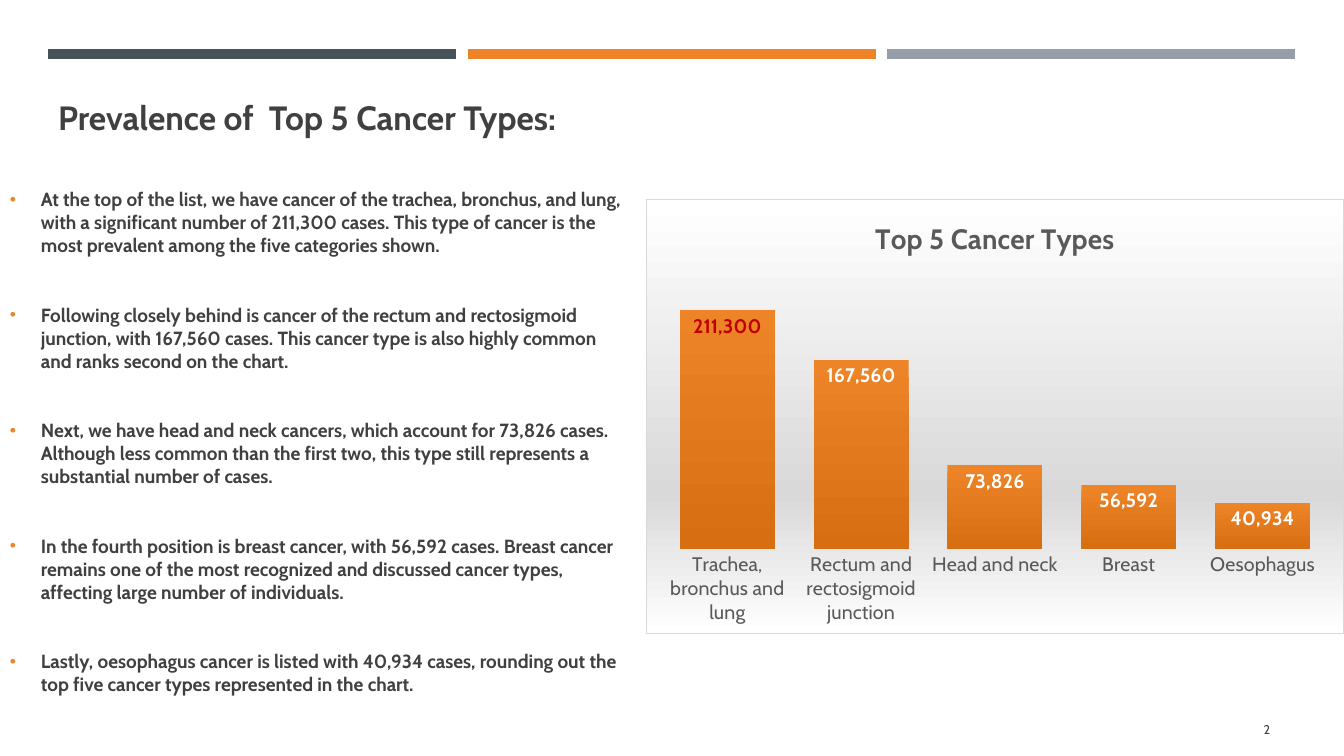
from pptx import Presentation
from pptx.chart.data import CategoryChartData
from pptx.dml.color import RGBColor
from pptx.enum.chart import XL_CHART_TYPE, XL_LABEL_POSITION, XL_TICK_MARK
from pptx.enum.shapes import MSO_CONNECTOR
from pptx.enum.text import MSO_ANCHOR, PP_ALIGN
from pptx.oxml import parse_xml
from pptx.oxml.ns import nsdecls, qn
from pptx.util import Emu, Pt
from lxml.etree import SubElement

ORANGE, TEXT, GREY = "ED8428", "404040", "595959"

BULLETS = [
    "At the top of the list, we have cancer of the trachea, bronchus, and lung, with a significant "
    "number of 211,300 cases. This type of cancer is the most prevalent among the five categories shown.",
    "Following closely behind is cancer of the rectum and rectosigmoid junction, with 167,560 cases. "
    "This cancer type is also highly common and ranks second on the chart.",
    "Next, we have head and neck cancers, which account for 73,826 cases. Although less common than "
    "the first two, this type still represents a substantial number of cases.",
    "In the fourth position is breast cancer, with 56,592 cases. Breast cancer remains one of the most "
    "recognized and discussed cancer types, affecting large number of individuals.",
    "Lastly, oesophagus cancer is listed with 40,934 cases, rounding out the top five cancer types "
    "represented in the chart.",
]

CASES = {
    "Trachea, bronchus and lung": 211300,
    "Rectum and rectosigmoid junction": 167560,
    "Head and neck": 73826,
    "Breast": 56592,
    "Oesophagus": 40934,
}


def px(n):
    return Emu(round(n * 914400 / 100.8))


def rgb(color):
    return RGBColor.from_string(color)


class Deck:
    """Holds the style and the current slide, and adds elements to it."""

    def __init__(self, font):
        self.font = font
        self.prs = Presentation()
        self.prs.slide_width, self.prs.slide_height = px(1344), px(756)
        self.s = self.prs.slides.add_slide(self.prs.slide_layouts[6])

    def style(self, f, size, color, bold=False):
        f.name, f.size, f.bold = self.font, Pt(size), bold
        f.color.rgb = rgb(color)

    def line(self, x1, x2, y, color, width):
        c = self.s.shapes.add_connector(MSO_CONNECTOR.STRAIGHT, px(x1), px(y), px(x2), px(y))
        c.line.color.rgb = rgb(color)
        c.line.width = Pt(width)
        SubElement(c._element.spPr, qn("a:effectLst"))

    def text(self, box, lines, size, bold=False, align=PP_ALIGN.LEFT, anchor=MSO_ANCHOR.TOP):
        tf = self.s.shapes.add_textbox(*map(px, box)).text_frame
        tf.word_wrap, tf.vertical_anchor = True, anchor
        tf.text = "\n".join(lines)
        for p in tf.paragraphs:
            p.alignment = align
            self.style(p.runs[0].font, size, TEXT, bold)
        return tf

    def bullets(self, box, lines, size, gap):
        for p in self.text(box, lines, size, True).paragraphs:
            p.space_after = Pt(gap)
            pPr = p._p.get_or_add_pPr()
            pPr.set("marL", str(px(31)))
            pPr.set("indent", str(px(-31)))
            SubElement(SubElement(pPr, qn("a:buClr")), qn("a:srgbClr"), val=ORANGE)
            SubElement(pPr, qn("a:buSzPct"), val="92000")
            SubElement(pPr, qn("a:buFont"), typeface="Arial")
            SubElement(pPr, qn("a:buChar"), char="•")

    def columns(self, box, title, values):
        data = CategoryChartData(number_format="#,##0")
        data.categories = list(values)
        data.add_series("Series 1", list(values.values()))
        chart = self.s.shapes.add_chart(XL_CHART_TYPE.COLUMN_CLUSTERED, *map(px, box), data).chart
        self.style(chart.font, 10, "000000")
        chart.has_legend = False
        chart.has_title = True
        tf = chart.chart_title.text_frame
        tf.text = title
        self.style(tf.paragraphs[0].runs[0].font, 20, GREY, True)
        chart.chart_title.include_in_layout = False

        axis = chart.category_axis
        axis.major_tick_mark = XL_TICK_MARK.NONE
        axis.format.line.fill.background()
        self.style(axis.tick_labels.font, 14, GREY)
        axis = chart.value_axis
        axis.minimum_scale, axis.maximum_scale = 0, 250000
        axis.has_major_gridlines = axis.visible = False

        plot = chart.plots[0]
        plot.gap_width, plot.vary_by_categories = 41, False
        ser = plot.series[0]
        fill = ser.format.fill
        fill.gradient()
        fill.gradient_angle = 270
        for stop, color, position in zip(fill.gradient_stops, (ORANGE, "D76E12"), (0, 1)):
            stop.color.rgb, stop.position = rgb(color), position
        labels = ser.data_labels
        labels.show_value = True
        labels.number_format, labels.number_format_is_linked = "#,##0", False
        for label, color in ((labels, "FFFFFF"), (ser.points[0].data_label, "C00000")):
            self.style(label.font, 14, color, True)
            label.position = XL_LABEL_POSITION.INSIDE_END
        self.chart_area(chart, (0.02, 0.155, 0.96, 0.65))

    def chart_area(self, chart, inner):
        stops = "".join(f'<a:gs pos="{pos}000"><a:srgbClr val="{color}"/></a:gs>'
                        for pos, color in ((0, "FFFFFF"), (68, "D9D9D9"), (100, "FFFFFF")))
        root = chart._chartSpace.find(qn("c:chart"))
        root.addnext(parse_xml(
            f'<c:spPr {nsdecls("c", "a")}><a:gradFill><a:gsLst>{stops}</a:gsLst>'
            '<a:lin ang="5400000" scaled="0"/></a:gradFill><a:ln w="9525"><a:solidFill>'
            '<a:srgbClr val="D9D9D9"/></a:solidFill></a:ln></c:spPr>'))
        area = root.find(qn("c:plotArea"))
        for old in area.findall(qn("c:layout")):
            area.remove(old)
        sizes = "".join(f'<c:{k} val="{v}"/>' for k, v in zip("xywh", inner))
        area.insert(0, parse_xml(
            f'<c:layout {nsdecls("c")}><c:manualLayout><c:layoutTarget val="inner"/>'
            f'<c:xMode val="edge"/><c:yMode val="edge"/>{sizes}</c:manualLayout></c:layout>'))


def main():
    deck = Deck("Cabin")
    for x, color in zip((48, 468, 887), ("465359", ORANGE, "969FA7")):
        deck.line(x, x + 408, 54, color, 6.5)
    deck.text((1164, 709, 116, 40), ["2"], 9, align=PP_ALIGN.RIGHT, anchor=MSO_ANCHOR.MIDDLE)
    deck.bullets((0, 183, 638, 514), BULLETS, 13.6, 33.5)
    deck.columns((646, 199, 698, 435), "Top 5 Cancer Types", CASES)
    deck.text((11, 92, 592, 50), ["Prevalence of  Top 5 Cancer Types:"], 24, True, PP_ALIGN.CENTER)
    deck.prs.save("out.pptx")


if __name__ == "__main__":
    main()
